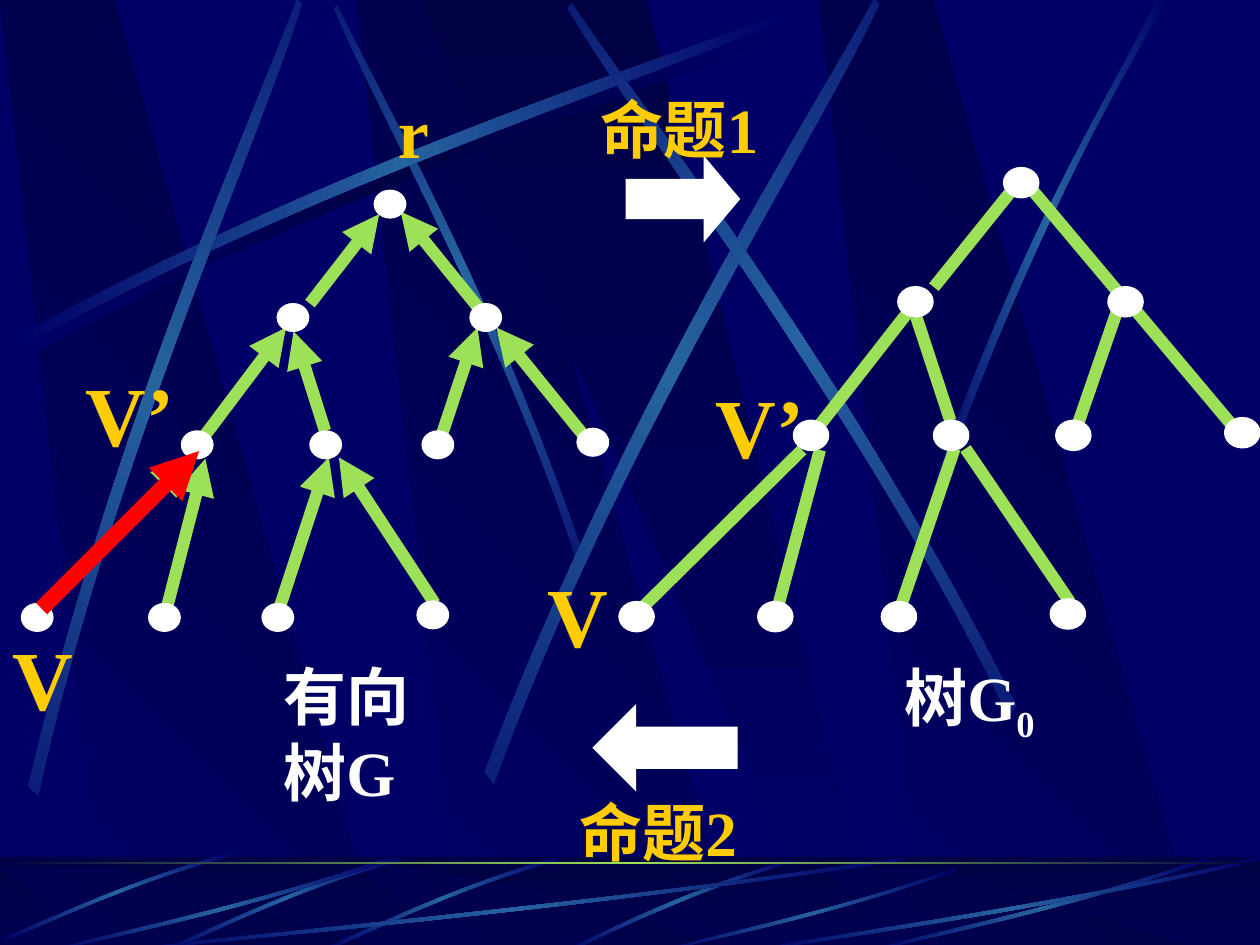
import pptx
import pptx.dml.color
import pptx.enum.shapes
import pptx.oxml
import pptx.oxml.ns
import pptx.util
from lxml import etree

RGB = pptx.dml.color.RGBColor
SHAPES = pptx.enum.shapes.MSO_SHAPE
NAVY, MIDNIGHT, STEEL = RGB(0, 0, 0x66), RGB(0, 0, 0x44), RGB(0x26, 0x63, 0xA0)
GREEN, RED = RGB(0x9C, 0xE1, 0x57), RGB(0xFF, 0, 0)
GOLD, WHITE = RGB(0xFF, 0xCC, 0), RGB(0xFF, 0xFF, 0xFF)
LATIN_FONT, CHINESE_FONT = "Times New Roman", "Noto Sans CJK SC"

# The slide is a grid of 10 columns and 7.5 rows.
WIDTH, HEIGHT = pptx.util.Inches(10), pptx.util.Inches(7.5)
COLUMNS, ROWS = 10, 7.5

# Outlines are shares of their box. A streak is a cubic out and a cubic back.
BAND = [(0.28, 1), (1, 1), (0.3, 0), (0, 0)]
WEDGE = [(0, 0), (0.9, 1), (1, 1), (0.5, 0)]
SWEEP = [(0, 0.96), (0.43, 0.43), (0.83, 0.15), (1, 0),
         (1, 0.02), (0.84, 0.19), (0.39, 0.5), (0, 1)]
STEEP = [(0, 0.99), (0.4, 0.44), (0.79, 0.17), (0.95, 0),
         (1, 0), (0.52, 0.37), (0.16, 0.81), (0.03, 1)]
ARC = [(1, 0), (0.49, 0.37), (0.16, 0.82), (0, 0.99),
       (0.03, 1), (0.23, 0.75), (0.68, 0.25), (1, 0.04)]
BLADE = [(0.99, 0), (0.53, 0.33), (0.17, 0.8), (0, 0.97),
         (0.01, 1), (0.17, 0.84), (0.58, 0.31), (1, 0.04)]

# Tree offsets from the root, shared by both trees.
NODES = [(0, 0), (-0.77, 0.9), (0.76, 0.9),
         (-1.53, 1.91), (-0.51, 1.91), (0.38, 1.91), (1.61, 1.89),
         (-2.8, 3.28), (-1.79, 3.28), (-0.89, 3.28), (0.34, 3.26)]
EDGES = [((-0.64, 0.79), (-0.09, 0.08)), ((0.76, 0.9), (0.08, 0.06)),
         ((-1.53, 1.91), (-0.83, 0.98)), ((-0.52, 1.8), (-0.77, 1.01)),
         ((1.52, 1.82), (0.84, 0.98)), ((0.38, 1.91), (0.69, 0.98)),
         ((-2.81, 3.26), (-1.6, 2.02)), ((-1.79, 3.26), (-1.47, 2.02)),
         ((-0.9, 3.26), (-0.49, 2.01)), ((0.35, 3.17), (-0.41, 2.01))]


def col(n):
    return round(WIDTH * n / COLUMNS)


def row(n):
    return round(HEIGHT * n / ROWS)


def place(left, top, width, height):
    return col(left), row(top), col(width), row(height)


def add_part(parent, tag, **attributes):
    return etree.SubElement(parent, pptx.oxml.ns.qn(tag), **attributes)


def paint_gradient(shape, colours, angle):
    """Spread the colours evenly; the angle runs counter-clockwise."""
    shape.shadow.inherit = False
    shape.line.fill.background()
    shape.fill.gradient()
    shape.fill.gradient_angle = angle
    stops = shape._element.spPr.find(".//" + pptx.oxml.ns.qn("a:gsLst"))
    for stop in list(stops):
        stops.remove(stop)
    for i, colour in enumerate(colours):
        stop = add_part(stops, "a:gs", pos=str(100000 * i // (len(colours) - 1)))
        add_part(stop, "a:srgbClr", val=str(colour))


def add_outline(slide, box, outline, colours, angle):
    left, top, width, height = box
    points = [(col(left + width * u), row(top + height * v)) for u, v in outline]
    builder = slide.shapes.build_freeform(*points[0])
    builder.add_line_segments(points[1:], close=True)
    shape = builder.convert_to_shape()
    paint_gradient(shape, colours, angle)
    return shape


def bend_sides(shape):
    """Turn the first three and last three line segments into cubic curves."""
    segments = list(shape._element.spPr.iter(pptx.oxml.ns.qn("a:lnTo")))
    for first in (0, 4):
        curve = etree.Element(pptx.oxml.ns.qn("a:cubicBezTo"))
        segments[first].addprevious(curve)
        for segment in segments[first:first + 3]:
            curve.append(segment[0])
            segment.getparent().remove(segment)


def add_streak(slide, box, profile=SWEEP, rotation=0, flip_x=False, flip_y=False,
               glow=STEEL):
    outline = [(1 - u if flip_x else u, 1 - v if flip_y else v) for u, v in profile]
    streak = add_outline(slide, box, outline, [NAVY, glow, NAVY], 180)
    bend_sides(streak)
    streak.rotation = rotation


def add_bands(slide, top, height):
    for left in (2.83, 0, 6.5):
        add_outline(slide, (left, top, 3.02, height), BAND, [MIDNIGHT, NAVY], 225)
    add_outline(slide, (3.33, top, 3.61, height), WEDGE, [MIDNIGHT, NAVY], 270)


def add_plain(slide, kind, box, colour, line_width=None):
    shape = slide.shapes.add_shape(kind, *place(*box))
    shape.shadow.inherit = False
    shape.fill.solid()
    shape.fill.fore_color.rgb = colour
    if line_width is None:
        shape.line.fill.background()
    else:
        shape.line.color.rgb = colour
        shape.line.width = pptx.util.Pt(line_width)
    return shape


def add_block_arrow(slide, kind, box, head_share):
    arrow = add_plain(slide, kind, box, WHITE, 5)
    arrow.adjustments[1] = head_share
    add_part(arrow.line._get_or_add_ln(), "a:miter", lim="800000")


def add_backdrop(slide):
    slide.background.fill.solid()
    slide.background.fill.fore_color.rgb = NAVY
    add_bands(slide, 0, 7.52)
    add_streak(slide, (0.2, 0.18, 6.08, 2.67), glow=MIDNIGHT)
    add_streak(slide, (1.41, 1.35, 4.42, 1.75), rotation=45, flip_x=True)
    add_streak(slide, (0.14, 0.1, 6.08, 2.67))
    add_streak(slide, (-1.71, 1.82, 6.08, 2.67), rotation=311.7)
    add_streak(slide, (2.31, 1.6, 6.24, 3.01), rotation=321.6)
    add_streak(slide, (3.23, 1.52, 6.08, 2.67), rotation=34.8, flip_x=True)
    add_streak(slide, (7.38, 0, 1.89, 3.97), STEEP)


def add_floor(slide):
    floor = (0, 6.8, 10, 0.75)
    base = slide.shapes.add_shape(SHAPES.RECTANGLE, *place(*floor))
    paint_gradient(base, [MIDNIGHT, NAVY], 270)
    add_bands(slide, 6.88, 0.66)
    veil = add_plain(slide, SHAPES.RECTANGLE, floor, MIDNIGHT)
    tint = veil._element.spPr.find(".//" + pptx.oxml.ns.qn("a:srgbClr"))
    add_part(tint, "a:alpha", val="50000")
    add_streak(slide, (4.48, 6.82, 1.8, 0.73), ARC)
    for box in ((2.56, 6.8, 1.88, 0.75), (1.31, 6.8, 1.88, 0.75),
                (0.01, 6.76, 1.86, 0.71)):
        add_streak(slide, box, BLADE)
    for left, top, width in ((1, 6.8, 6.17), (0.42, 6.8, 2.67), (5.27, 6.89, 2.31),
                             (6.92, 6.8, 2.67), (6, 6.8, 4)):
        add_streak(slide, (left, top, width, 7.55 - top), flip_x=True, flip_y=True)
    horizon = slide.shapes.add_shape(SHAPES.RECTANGLE, *place(0, 6.84, 10, 0.02))
    paint_gradient(horizon, [MIDNIGHT, GREEN, MIDNIGHT], 180)


def add_edge(slide, start, end, colour, width, directed):
    edge = slide.shapes.add_connector(
        pptx.enum.shapes.MSO_CONNECTOR.STRAIGHT,
        col(start[0]), row(start[1]), col(end[0]), row(end[1]))
    edge.line.color.rgb = colour
    edge.line.width = pptx.util.Pt(width)
    if directed:
        add_part(edge.line._get_or_add_ln(), "a:tailEnd", type="triangle")
    add_part(edge._element.spPr, "a:effectLst")


def add_tree(slide, root, scale, node_size, directed):
    def locate(offset):
        return tuple(r + o * s for r, o, s in zip(root, offset, scale))

    for child, parent in EDGES:
        add_edge(slide, locate(child), locate(parent), GREEN, 7, directed)
    width, height = node_size
    for node in NODES:
        x, y = locate(node)
        add_plain(slide, SHAPES.OVAL, (x - width * 0.52, y - height / 2, width, height),
                  WHITE, 0.75)


def add_label(slide, box, text, size, colour, subscript="", wrap=True):
    frame = slide.shapes.add_textbox(*place(*box)).text_frame
    frame.word_wrap = wrap
    paragraph = frame.paragraphs[0]
    font = paragraph.font
    font.name, font.size, font.bold = LATIN_FONT, pptx.util.Pt(size), True
    font.color.rgb = colour
    add_part(font._element, "a:ea", typeface=CHINESE_FONT)
    paragraph.add_run().text = text
    if subscript:
        index = paragraph.add_run()
        index.text = subscript
        index.font._element.set("baseline", "-25000")


def main():
    deck = pptx.Presentation()
    deck.slide_width, deck.slide_height = WIDTH, HEIGHT
    slide = deck.slides.add_slide(deck.slide_layouts[6])
    add_backdrop(slide)
    add_floor(slide)

    add_tree(slide, (3.1, 1.62), (1, 1), (0.25, 0.22), directed=True)
    add_label(slide, (3.06, 0.65, 0.44, 0.77), "r", 40, GOLD, wrap=False)
    add_label(slide, (2.15, 5.17, 1.38, 1.3), "有向树G", 36, WHITE)
    add_tree(slide, (8.11, 1.45), (1.09, 1.05), (0.28, 0.24), directed=False)
    add_label(slide, (7.08, 5.18, 1.5, 0.79), "树G", 36, WHITE, subscript="0")

    add_block_arrow(slide, SHAPES.RIGHT_ARROW, (5, 1.33, 0.83, 0.5), 0.42)
    add_block_arrow(slide, SHAPES.LEFT_ARROW, (4.75, 5.67, 1.07, 0.53), 0.5)
    add_label(slide, (4.67, 0.67, 1.75, 0.7), "命题1", 36, GOLD)
    add_label(slide, (4.5, 6.25, 1.75, 0.7), "命题2", 36, GOLD)
    for left, top, width, vertex in ((4.25, 4.42, 0.75, "V"), (5.58, 2.92, 1.08, "V’"),
                                     (0.58, 2.83, 1.08, "V’"), (0, 4.92, 0.75, "V")):
        add_label(slide, (left, top, width, 0.9), vertex, 48, GOLD)
    add_edge(slide, (0.33, 4.83), (1.58, 3.58), RED, 9, directed=True)
    deck.save("out.pptx")


if __name__ == "__main__":
    main()
